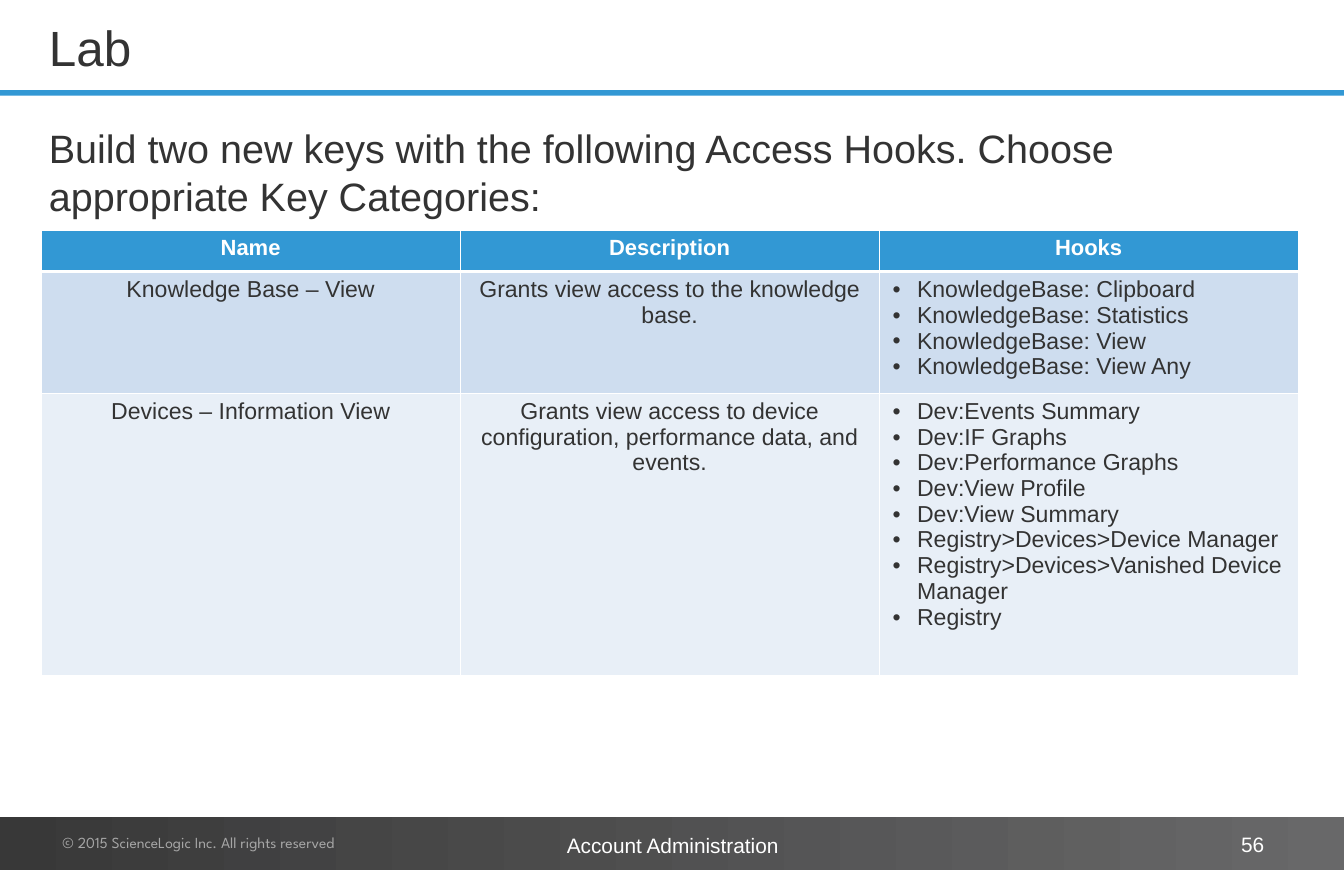
from dataclasses import dataclass

from lxml.etree import SubElement
from pptx import Presentation
from pptx.dml.color import RGBColor
from pptx.enum.shapes import MSO_SHAPE
from pptx.enum.text import MSO_ANCHOR, PP_ALIGN
from pptx.oxml.ns import qn
from pptx.util import Inches, Pt


@dataclass(frozen=True)
class Theme:
    """Colours, fonts and type sizes of the slide."""
    accent: str = "3298D4"
    ink: str = "333333"
    white: str = "FFFFFF"
    muted: str = "A6A6A6"
    footer_start: str = "383838"
    footer_end: str = "686869"
    bands: tuple = ("CEDDEF", "E8EFF7")
    font: str = "Arial"
    copyright_font: str = "League Spartan"
    title: int = 45
    body: int = 36
    cell: int = 21
    header: int = 20
    footer: int = 19
    copyright: int = 14


THEME = Theme()
HEADERS = ["Name", "Description", "Hooks"]
KEYS = [
    ("Knowledge Base – View",
     "Grants view access to the knowledge base.",
     ["KnowledgeBase: Clipboard", "KnowledgeBase: Statistics",
      "KnowledgeBase: View", "KnowledgeBase: View Any"]),
    ("Devices – Information View",
     "Grants view access to device configuration, performance data, and events.",
     ["Dev:Events Summary", "Dev:IF Graphs", "Dev:Performance Graphs",
      "Dev:View Profile", "Dev:View Summary",
      "Registry>Devices>Device Manager",
      "Registry>Devices>Vanished Device Manager", "Registry"]),
]


def write(paragraph, text, size, color=THEME.ink, font=THEME.font,
          bold=False, align=PP_ALIGN.LEFT, bullet=False):
    """Put formatted text into a paragraph."""
    paragraph.alignment = align
    if bullet:
        properties = paragraph._p.get_or_add_pPr()
        properties.set("marL", str(Inches(0.31)))
        properties.set("indent", str(Inches(-0.31)))
        SubElement(properties, qn("a:buFont"), typeface=THEME.font)
        SubElement(properties, qn("a:buChar"), char="•")
    run = paragraph.add_run()
    run.text = text
    run.font.size = Pt(size)
    run.font.name = font
    run.font.bold = bold
    run.font.color.rgb = RGBColor.from_string(color)


def add_label(slide, box, text, size, inset=(0.16, 0.08),
              anchor=MSO_ANCHOR.TOP, **style):
    """Add a wrapped one-paragraph text box."""
    frame = slide.shapes.add_textbox(*map(Inches, box)).text_frame
    frame.word_wrap = True
    frame.vertical_anchor = anchor
    frame.margin_left = frame.margin_right = Inches(inset[0])
    frame.margin_top = frame.margin_bottom = Inches(inset[1])
    write(frame.paragraphs[0], text, size, **style)


def add_bar(slide, top, height, start, end=None):
    """Add a full-width bar with a solid or left-to-right gradient fill."""
    bar = slide.shapes.add_shape(
        MSO_SHAPE.RECTANGLE, 0, Inches(top), Inches(17), Inches(height))
    bar.shadow.inherit = False
    bar.line.fill.background()
    if end is None:
        bar.fill.solid()
        bar.fill.fore_color.rgb = RGBColor.from_string(start)
        return
    bar.fill.gradient()
    bar.fill.gradient_angle = 0
    for stop, color in zip(bar.fill.gradient_stops, (start, end)):
        stop.color.rgb = RGBColor.from_string(color)


def style_cell(cell, fill, top_width, bottom_width):
    """Set the margins, white borders and fill of a table cell."""
    cell.margin_left = cell.margin_right = Inches(0.17)
    cell.margin_top = cell.margin_bottom = Inches(0.07)
    properties = cell._tc.get_or_add_tcPr()
    sides = {"lnL": 1, "lnR": 1, "lnT": top_width, "lnB": bottom_width}
    for side, width in sides.items():
        border = SubElement(properties, qn(f"a:{side}"), w=str(Pt(width)))
        solid = SubElement(border, qn("a:solidFill"))
        SubElement(solid, qn("a:srgbClr"), val=THEME.white)
    cell.fill.solid()
    cell.fill.fore_color.rgb = RGBColor.from_string(fill)


def add_key_table(slide):
    """Add the table of keys and their access hooks."""
    table = slide.shapes.add_table(
        len(KEYS) + 1, len(HEADERS), Inches(0.52), Inches(2.91),
        Inches(15.9), Inches(5.61)).table
    for row, height in zip(table.rows, (0.52, 1.52, 3.57)):
        row.height = Inches(height)
    for column, header in enumerate(HEADERS):
        cell = table.cell(0, column)
        style_cell(cell, THEME.accent, 1, 3)
        write(cell.text_frame.paragraphs[0], header, THEME.header,
              color=THEME.white, bold=True, align=PP_ALIGN.CENTER)
    for row, (name, description, hooks) in enumerate(KEYS, start=1):
        for column, content in enumerate(([name], [description], hooks)):
            cell = table.cell(row, column)
            style_cell(cell, THEME.bands[row - 1], 3 if row == 1 else 1, 1)
            is_hooks = content is hooks
            frame = cell.text_frame
            for index, line in enumerate(content):
                paragraph = frame.add_paragraph() if index else frame.paragraphs[0]
                write(paragraph, line, THEME.cell, bullet=is_hooks,
                      align=PP_ALIGN.LEFT if is_hooks else PP_ALIGN.CENTER)


def main():
    """Build the lab slide and save it."""
    presentation = Presentation()
    presentation.slide_width = Inches(17)
    presentation.slide_height = Inches(11)
    slide = presentation.slides.add_slide(presentation.slide_layouts[6])

    add_bar(slide, 1.14, 0.07, THEME.accent)
    add_bar(slide, 10.33, 0.67, THEME.footer_start, THEME.footer_end)
    add_label(slide, (0.63, 10.46, 5, 0.4),
              "© 2015 ScienceLogic Inc. All rights reserved", THEME.copyright,
              color=THEME.muted, font=THEME.copyright_font)
    add_label(slide, (0.52, 1.52, 15.63, 1.39),
              "Build two new keys with the following Access Hooks. "
              "Choose appropriate Key Categories:",
              THEME.body, inset=(0.1, 0.05))
    add_label(slide, (12.18, 10.46, 3.97, 0.43), "56", THEME.footer,
              anchor=MSO_ANCHOR.MIDDLE, color=THEME.white, align=PP_ALIGN.RIGHT)
    add_key_table(slide)
    add_label(slide, (6.63, 10.45, 3.76, 0.48), "Account Administration",
              THEME.footer, color=THEME.white, align=PP_ALIGN.CENTER)
    add_label(slide, (0.52, 0.01, 14.85, 1.17), "Lab", THEME.title,
              inset=(0.1, 0.05), anchor=MSO_ANCHOR.MIDDLE)

    presentation.save("out.pptx")


if __name__ == "__main__":
    main()
